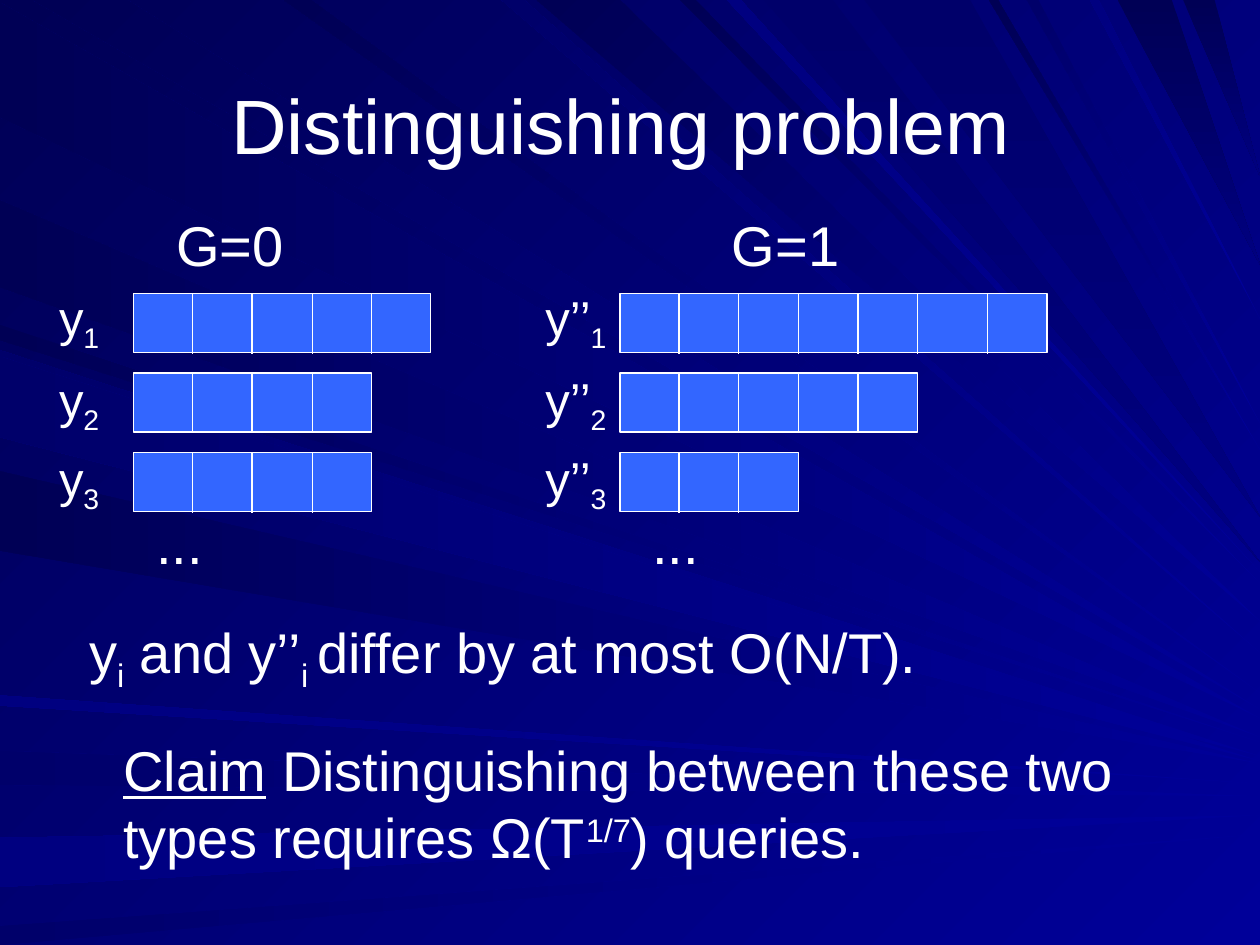
from lxml import etree
from pptx import Presentation
from pptx.dml.color import RGBColor
from pptx.enum.shapes import MSO_CONNECTOR, MSO_SHAPE
from pptx.enum.text import MSO_ANCHOR, MSO_AUTO_SIZE, PP_ALIGN
from pptx.oxml.ns import qn
from pptx.util import Emu, Pt

PX = 9144  # EMU per px, 100 px to the inch
WIDTH, HEIGHT = 1000, 750
FONT = "Arial"
STRAIGHT, RECTANGLE = MSO_CONNECTOR.STRAIGHT, MSO_SHAPE.RECTANGLE
LEFT, CENTER = PP_ALIGN.LEFT, PP_ALIGN.CENTER
TOP, MIDDLE = MSO_ANCHOR.TOP, MSO_ANCHOR.MIDDLE
GROW = MSO_AUTO_SIZE.SHAPE_TO_FIT_TEXT

WHITE = RGBColor(0xFF, 0xFF, 0xFF)
CELL_BLUE = RGBColor(0x33, 0x66, 0xFF)
BRIGHT = RGBColor(0x00, 0x00, 0x99)
NAVY = RGBColor(0x00, 0x00, 0x80)
DIM = RGBColor(0x00, 0x00, 0x6A)
DARK = RGBColor(0x00, 0x00, 0x55)

# Gradient directions, clockwise degrees
DOWN, WEST, NORTHWEST = 90, 180, 225

# Rays narrow to a tip on the right edge: start, end, tip height, far colour
TOP_RAYS = [
    (26, 101, 563, DARK), (398, 416, 518, DIM), (426, 492, 493, DARK),
    (540, 552, 463, DARK), (225, 247, 550, DARK), (577, 588, 454, NAVY),
    (785, 792, 357, DARK), (815, 824, 336, DIM), (865, 872, 253, NAVY),
]
SHADE_RAYS = [
    (606, 661, 446, DIM), (686, 770, 410, DIM),
    (887, 930, 210, DARK), (939, 964, 140, DARK),
]
SIDE_RAYS = [
    (2, 93, 570, DARK), (596, 623, 632, DIM), (665, 704, 647, NAVY),
    (735, 750, 662, DIM), (258, 270, 589, DARK), (159, 228, 585, DARK),
    (278, 342, 600, DIM), (374, 437, 606, DARK), (552, 560, 622, NAVY),
    (283, 347, 604, DIM),
]

# Bars: rows are bar top and label top
ROWS = [(233, 223), (296, 288), (359, 351)]
CELL, CELL_HEIGHT = 47.2, 47
WIDE_CELL = 56
# Columns: heading, its left, label, its left, label width, bar left, dots left, cells
COLUMNS = [
    ("G=0", 130, "y", 37, 52, 106, 114, [[CELL] * 5, [CELL] * 4, [CELL] * 4]),
    ("G=1", 571, "y’’", 423, 69, 492, 508,
     [[CELL] * 5 + [WIDE_CELL, CELL], [CELL] * 5, [CELL] * 3]),
]

SUB, SUPER = -25000, 30000


def px(value):
    return Emu(round(value) * PX)


class SlideWriter:
    def __init__(self, slide):
        self.slide = slide
        self.shapes = slide.shapes

    def paint(self, fill, first, last, direction):
        fill.gradient()
        fill.gradient_angle = 360 - direction
        for stop, color in zip(fill.gradient_stops, (first, last)):
            stop.color.rgb = color

    def ray(self, start, end, tip, first, last, direction):
        builder = self.shapes.build_freeform(*start, scale=PX)
        builder.add_line_segments([end, (WIDTH, tip)], close=True)
        shape = builder.convert_to_shape()
        shape.shadow.inherit = False
        shape.line.fill.background()
        self.paint(shape.fill, first, last, direction)

    def divider(self, x, top):
        line = self.shapes.add_connector(
            STRAIGHT, px(x), px(top), px(x), px(top + CELL_HEIGHT + 1))
        line.line.color.rgb = WHITE
        line.line.width = Pt(0.75)
        etree.SubElement(line._element.spPr, qn("a:effectLst"))

    def bar(self, left, top, cells):
        box = self.shapes.add_shape(
            RECTANGLE, px(left), px(top), px(sum(cells)), px(CELL_HEIGHT))
        box.shadow.inherit = False
        box.fill.solid()
        box.fill.fore_color.rgb = CELL_BLUE
        box.line.color.rgb = WHITE
        box.line.width = Pt(0.75)
        for count in range(1, len(cells)):
            self.divider(left + sum(cells[:count]), top)

    def text(self, left, top, width, height, paragraphs, size=32,
             align=LEFT, anchor=TOP, wrap=False):
        """Each paragraph is a list of (words, baseline, underline) runs."""
        box = self.shapes.add_textbox(px(left), px(top), px(width), px(height))
        frame = box.text_frame
        frame.word_wrap = wrap
        frame.vertical_anchor = anchor
        if not wrap:
            frame.auto_size = GROW
        for index, runs in enumerate(paragraphs):
            para = frame.add_paragraph() if index else frame.paragraphs[0]
            para.alignment = align
            for words, baseline, underline in runs:
                span = para.add_run()
                span.text = words
                span.font.name = FONT
                span.font.size = Pt(size)
                span.font.color.rgb = WHITE
                if underline:
                    span.font.underline = True
                if baseline:
                    span._r.get_or_add_rPr().set("baseline", str(baseline))


def main():
    deck = Presentation()
    deck.slide_width, deck.slide_height = px(WIDTH), px(HEIGHT)
    page = SlideWriter(deck.slides.add_slide(deck.slide_layouts[6]))

    # Background
    page.paint(page.slide.background.fill, BRIGHT, DARK, NORTHWEST)
    for start, end, tip, far in TOP_RAYS:
        page.ray((start, 0), (end, 0), tip, BRIGHT, far, NORTHWEST)
    for start, end, tip, far in SHADE_RAYS:
        page.ray((start, 0), (end, 0), tip, far, NAVY, DOWN)
    for start, end, tip, far in SIDE_RAYS:
        page.ray((0, start), (0, end), tip, BRIGHT, far, WEST)

    # Title
    page.text(43, 36, 900, 125, [[("Distinguishing problem", 0, False)]],
              size=44, align=CENTER, anchor=MIDDLE, wrap=True)

    # The two families of bars
    for heading, heading_left, label, label_left, label_width, bar_left, dots_left, bars in COLUMNS:
        page.text(heading_left, 162, 105, 64, [[(heading, 0, False)]])
        for number, ((top, label_top), cells) in enumerate(zip(ROWS, bars), 1):
            page.bar(bar_left, top, cells)
            page.text(label_left, label_top, label_width, 63,
                      [[(label, 0, False), (str(number), SUB, False)]], size=28)
        page.text(dots_left, 399, 57, 64, [[("...", 0, False)]])

    # Conclusions
    page.text(61, 485, 754, 71, [[
        ("y", 0, False), ("i", SUB, False), (" and y’’", 0, False),
        ("i ", SUB, False), ("differ by at most O(N/T).", 0, False)]])
    page.text(88, 579, 819, 117, [
        [("Claim", 0, True), (" Distinguishing between these two", 0, False)],
        [("types requires Ω(T", 0, False), ("1/7", SUPER, False), (") queries.", 0, False)]])

    deck.save("out.pptx")


if __name__ == "__main__":
    main()
